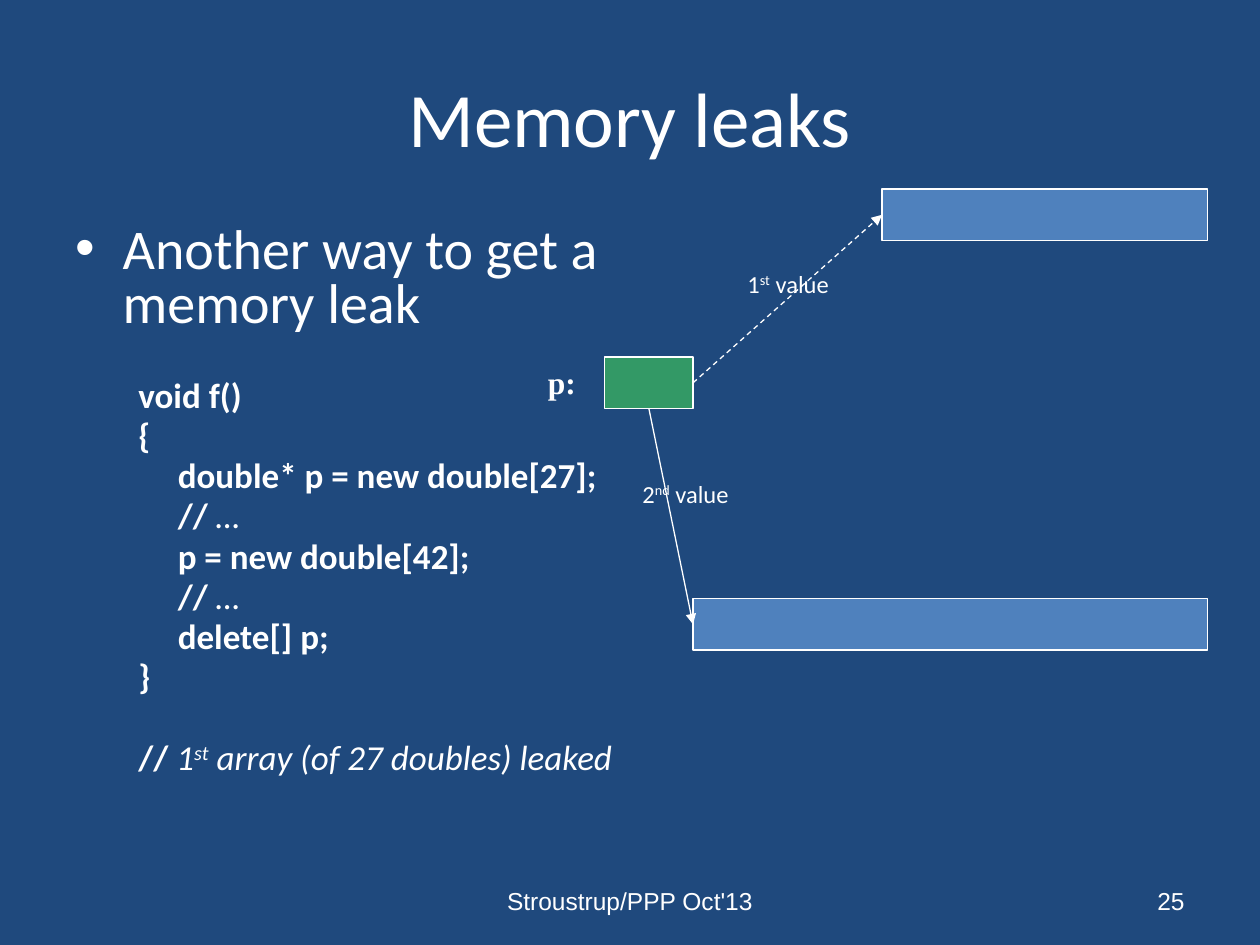
from dataclasses import dataclass

from lxml.etree import SubElement
from pptx import Presentation
from pptx.dml.color import RGBColor as Color
from pptx.enum.dml import MSO_LINE as Dash
from pptx.enum.shapes import MSO_CONNECTOR as Connector, MSO_SHAPE as Shape
from pptx.enum.text import MSO_ANCHOR as Anchor, PP_ALIGN as Align
from pptx.oxml.ns import qn
from pptx.util import Pt


@dataclass(frozen=True)
class Theme:
    """Colours, fonts and type sizes of the slide."""
    background: str = "1F497D"
    text: str = "FFFFFF"
    pointer: str = "339966"
    array: str = "4F81BD"
    font: str = "Calibri"
    footer_font: str = "Arial"
    name_font: str = "Times New Roman"
    title_size: int = 44
    bullet_size: int = 32
    code_size: int = 20
    name_size: int = 18
    small_size: int = 14
    line_width: float = 0.75


THEME = Theme()
CELL_HEIGHT = 29.5
LINE_SPACING = 0.8
CODE_GAP = 3.75
SECTION_GAP = 27
CODE_LEFT, CODE_STEP = 36, 22.5
# Each code line: indent level, space before, runs of (text, style)
CODE = [
    (0, SECTION_GAP, [("void f()", "b")]),
    (0, CODE_GAP, [("{", "b")]),
    (1, CODE_GAP, [("double* p = new double[27];", "b")]),
    (1, CODE_GAP, [("// ", "b"), ("…", "i")]),
    (1, CODE_GAP, [("p = new double[42];", "b")]),
    (1, CODE_GAP, [("// ", "b"), ("…", "i")]),
    (1, CODE_GAP, [("delete[] p;", "b")]),
    (0, CODE_GAP, [("}", "b")]),
    (0, SECTION_GAP, [("// ", "b"), ("1", "i"), ("st", "i^"),
                      (" array (of 27 doubles) leaked", "i")]),
]


def write_runs(paragraph, runs, size, font=THEME.font):
    """Add runs; a style holds b for bold, i for italic, ^ for superscript."""
    for text, style in runs:
        run = paragraph.add_run()
        run.text = text
        run.font.name, run.font.size = font, Pt(size)
        run.font.color.rgb = Color.from_string(THEME.text)
        run.font.bold, run.font.italic = "b" in style, "i" in style
        if "^" in style:
            run.font._element.set("baseline", "30000")


def add_text(slide, box, runs, size, font=THEME.font, align=Align.LEFT,
             anchor=Anchor.TOP):
    """Add a wrapping text box with one paragraph and return its frame."""
    text_frame = slide.shapes.add_textbox(*map(Pt, box)).text_frame
    text_frame.word_wrap = True
    text_frame.vertical_anchor = anchor
    paragraph = text_frame.paragraphs[0]
    paragraph.alignment = align
    write_runs(paragraph, runs, size, font)
    return text_frame


def set_indent(paragraph, left, first=0, bullet=None):
    """Set the left margin, first-line indent and bullet of a paragraph."""
    properties = paragraph._p.get_or_add_pPr()
    properties.set("marL", str(Pt(left)))
    properties.set("indent", str(Pt(first)))
    if bullet:
        SubElement(properties, qn("a:buFont")).set("typeface", "Arial")
        SubElement(properties, qn("a:buChar")).set("char", bullet)


def add_body(slide):
    """Add the bullet and the code listing below it."""
    text_frame = add_text(slide, (36, 126, 336, 384),
                          [("Another way to get a memory leak", "")],
                          THEME.bullet_size)
    bullet = text_frame.paragraphs[0]
    bullet.line_spacing = LINE_SPACING
    set_indent(bullet, 27, -27, "•")
    for level, gap, runs in CODE:
        paragraph = text_frame.add_paragraph()
        paragraph.line_spacing = LINE_SPACING
        paragraph.space_before = Pt(gap)
        set_indent(paragraph, CODE_LEFT + level * CODE_STEP)
        write_runs(paragraph, runs, THEME.code_size)


def style_line(line):
    """Give an outline or a connector the common colour and width."""
    line.color.rgb = Color.from_string(THEME.text)
    line.width = Pt(THEME.line_width)


def add_cell(slide, left, top, width, color):
    """Add a memory block and return it."""
    shape = slide.shapes.add_shape(Shape.RECTANGLE, Pt(left), Pt(top),
                                   Pt(width), Pt(CELL_HEIGHT))
    shape.shadow.inherit = False
    shape.fill.solid()
    shape.fill.fore_color.rgb = Color.from_string(color)
    style_line(shape.line)
    return shape


def add_arrow(slide, source, source_site, target, dash=None):
    """Connect a site of the source to the left side of the target."""
    connector = slide.shapes.add_connector(Connector.STRAIGHT, 0, 0, 0, 0)
    connector.begin_connect(source, source_site)
    connector.end_connect(target, 1)
    style_line(connector.line)
    if dash:
        connector.line.dash_style = dash
    SubElement(connector.line._get_or_add_ln(),
               qn("a:tailEnd")).set("type", "triangle")
    SubElement(connector._element.spPr, qn("a:effectLst"))


def add_diagram(slide):
    """Add the pointer, both arrays, and the labelled arrows."""
    add_text(slide, (306, 204, 51, 29), [("p:", "b")],
             THEME.name_size, THEME.name_font)
    pointer = add_cell(slide, 345.6, 204, 50.4, THEME.pointer)
    second_array = add_cell(slide, 396, 342, 294, THEME.array)
    first_array = add_cell(slide, 504, 108, 186, THEME.array)
    add_arrow(slide, pointer, 3, first_array, Dash.DASH)
    add_arrow(slide, pointer, 2, second_array)
    for box, number, suffix in [((360, 270, 132, 24), "2", "nd"),
                                ((420, 150, 114, 24), "1", "st")]:
        add_text(slide, box, [(number, ""), (suffix, "^"), (" value", "")],
                 THEME.small_size)


def add_footer(slide):
    """Add the footer text and the slide number."""
    for left, width, text, align in [
            (246, 228, "Stroustrup/PPP Oct'13", Align.CENTER),
            (516, 168, "25", Align.RIGHT)]:
        add_text(slide, (left, 500.4, width, 28.8), [(text, "")],
                 THEME.small_size, THEME.footer_font, align, Anchor.MIDDLE)


def main():
    """Build and save the slide."""
    presentation = Presentation()
    presentation.slide_width, presentation.slide_height = Pt(720), Pt(540)
    slide = presentation.slides.add_slide(presentation.slide_layouts[6])
    slide.background.fill.solid()
    slide.background.fill.fore_color.rgb = Color.from_string(THEME.background)
    add_text(slide, (36, 21.6, 648, 90), [("Memory leaks", "")],
             THEME.title_size, align=Align.CENTER, anchor=Anchor.MIDDLE)
    add_body(slide)
    add_diagram(slide)
    add_footer(slide)
    presentation.save("out.pptx")


main()
